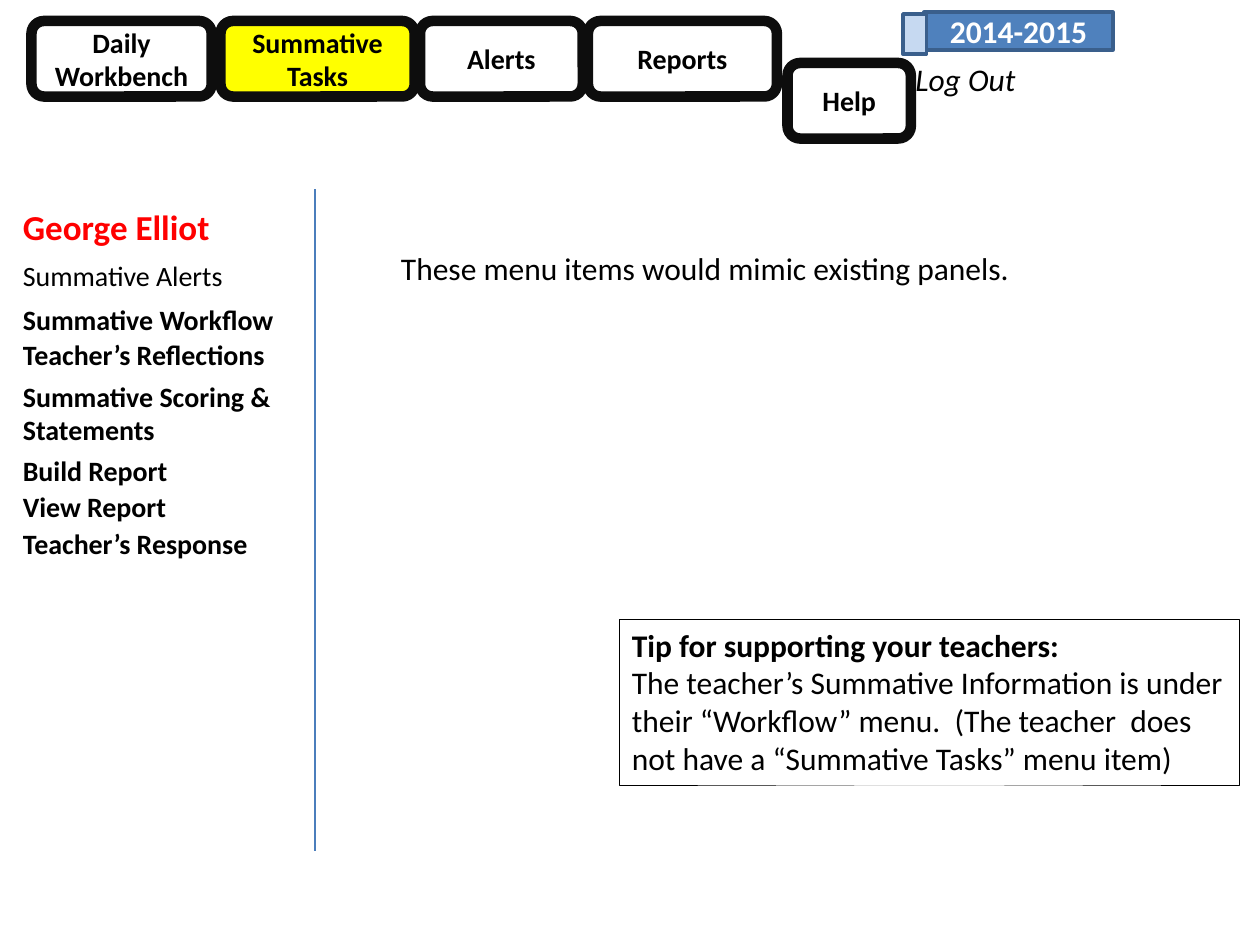
import pptx
import pptx.util
import pptx.dml.color
import pptx.enum.shapes
import pptx.enum.text
import pptx.oxml

Pt = pptx.util.Pt
KINDS = pptx.enum.shapes.MSO_SHAPE
ALIGN = pptx.enum.text.PP_ALIGN
ANCHOR = pptx.enum.text.MSO_ANCHOR

HUES = {
    "black": "000000", "white": "FFFFFF", "red": "FF0000",
    "yellow": "FFFF00", "frame": "0D0D0D", "blue": "4F81BD",
    "pale": "C6D9F1", "edge": "3A5F8C", "rule": "4B7EBC",
}
MENU_TOP, MENU_HIGH = 12, 43.2
SIDE_LEFT, SIDE_WIDE = 6, 175


def hue(name):
    return pptx.dml.color.RGBColor.from_string(HUES[name])


def style(item, values):
    for key, value in values.items():
        setattr(item, key, value)


def write(shape, lines, color="black", align=ALIGN.LEFT, anchor=ANCHOR.TOP):
    """Fill a shape with lines, each a pair of text and font values."""
    frame = shape.text_frame
    style(frame, {"word_wrap": True, "vertical_anchor": anchor})
    for i, (text, font) in enumerate(lines):
        para = frame.add_paragraph() if i else frame.paragraphs[0]
        para.alignment = align
        run = para.add_run()
        run.text = text
        style(run.font, {"name": "Calibri", **font})
        run.font.color.rgb = hue(color)


def add_box(slide, kind, area, fill=None, line=None, width=1):
    box = slide.shapes.add_shape(kind, *map(Pt, area))
    box.shadow.inherit = False
    if fill:
        box.fill.solid()
        box.fill.fore_color.rgb = hue(fill)
    else:
        box.fill.background()
    if line:
        box.line.color.rgb = hue(line)
        box.line.width = Pt(width)
    else:
        box.line.fill.background()
    return box


def add_text(slide, area, text, font, color="black"):
    box = slide.shapes.add_textbox(*map(Pt, area))
    write(box, [(text, font)], color)


def add_tab(slide, text, left, width, top=MENU_TOP, fill="white"):
    tab = add_box(slide, KINDS.ROUNDED_RECTANGLE,
                  (left, top, width, MENU_HIGH), fill, "frame", 6)
    write(tab, [(text, {"size": Pt(16), "bold": True})],
          align=ALIGN.CENTER, anchor=ANCHOR.MIDDLE)


def add_rule(slide, left, top, end):
    rule = slide.shapes.add_connector(
        pptx.enum.shapes.MSO_CONNECTOR.STRAIGHT,
        Pt(left), Pt(top), Pt(left), Pt(end))
    rule.line.color.rgb = hue("rule")
    rule.line.width = Pt(0.75)
    props = rule._element.spPr
    props.append(pptx.oxml.parse_xml(
        '<a:effectLst xmlns:a='
        '"http://schemas.openxmlformats.org/drawingml/2006/main"/>'))


def main():
    deck = pptx.Presentation()
    style(deck, {"slide_width": Pt(720), "slide_height": Pt(540)})
    slide = deck.slides.add_slide(deck.slide_layouts[6])
    plain = {"size": Pt(18)}
    strong = {"size": Pt(18), "bold": True}
    item = {"size": Pt(16), "bold": True}

    # School year and log out
    year = add_box(slide, KINDS.RECTANGLE, (528, 7, 108, 21.6),
                   "blue", "edge", 2)
    write(year, [("2014-2015", strong)], "white", ALIGN.CENTER, ANCHOR.MIDDLE)
    add_box(slide, KINDS.RECTANGLE, (516, 8, 13.5, 23), "pale", "edge", 2)
    add_text(slide, (516, 31, 192, 29), "Log Out",
             {"size": Pt(18), "italic": True})

    # Top menu
    add_tab(slide, "Daily Workbench", 18, 103, fill=None)
    add_tab(slide, "Reports", 336, 108)
    add_tab(slide, "Summative Tasks", 126, 111, fill="yellow")
    add_tab(slide, "Alerts", 240, 93)
    add_tab(slide, "Help", 450, 70.5, top=36)

    # Side menu
    add_rule(slide, 180, 108, 486)
    add_text(slide, (SIDE_LEFT, 114, 144, 31.5), "George Elliot",
             {"size": Pt(20), "bold": True}, "red")
    alerts = add_box(slide, KINDS.RECTANGLE,
                     (SIDE_LEFT, 144, 138, 26.6), "white")
    write(alerts, [("Summative Alerts", {"size": Pt(16)})])
    for text, top, high in (
        ("Summative Workflow", 169.2, 26.6),
        ("Teacher’s Reflections", 189.4, 26.6),
        ("Summative Scoring & Statements", 213.2, 46),
        ("Build Report", 255.6, 26.6),
        ("View Report", 276, 26.6),
        ("Teacher’s Response", 297.4, 26.6),
    ):
        add_text(slide, (SIDE_LEFT, top, SIDE_WIDE, high), text, item)

    # Main panel
    add_text(slide, (222, 139, 414, 29),
             "These menu items would mimic existing panels.", plain)
    tip = add_box(slide, KINDS.RECTANGLE, (354, 354, 354, 94.5),
                  line="black", width=0.25)
    write(tip, [
        ("Tip for supporting your teachers:", strong),
        ("The teacher’s Summative Information is under their “Workflow” "
         "menu.  (The teacher  does not have a “Summative Tasks” menu item)",
         plain),
    ])

    deck.save("out.pptx")


if __name__ == "__main__":
    main()
